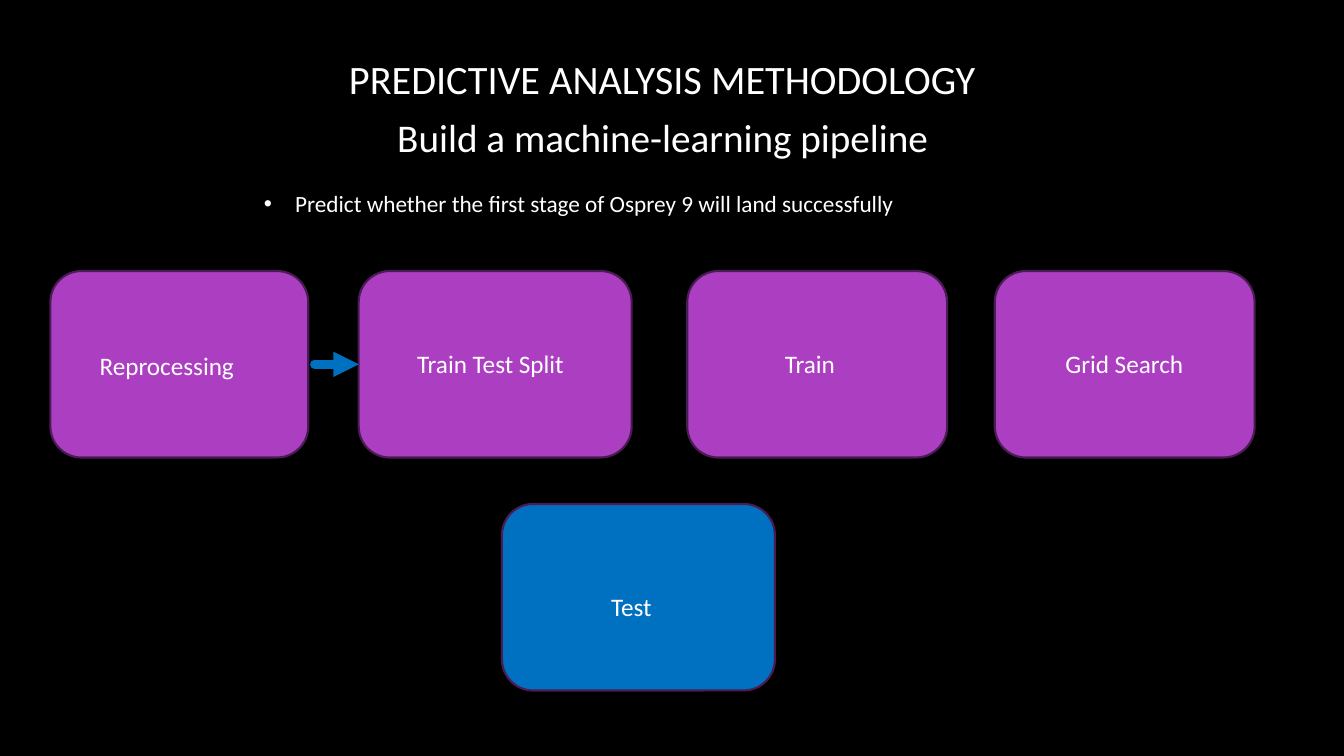
from dataclasses import dataclass

import pptx
import pptx.dml.color
import pptx.enum.shapes
import pptx.enum.text
import pptx.oxml
import pptx.oxml.ns
import pptx.util
from pptx.util import Cm

ALIGN = pptx.enum.text.PP_ALIGN
ANCHOR = pptx.enum.text.MSO_ANCHOR
AUTO_SIZE = pptx.enum.text.MSO_AUTO_SIZE

BLACK = "000000"
WHITE = "FFFFFF"
PURPLE = "AC3EC1"
DARK_PURPLE = "4B1B55"
BLUE = "0070C0"

STAGE_HEIGHT = 4.7
ROW_TOP = 6.83


@dataclass(frozen=True)
class Caption:
    text: str
    left: float
    top: float
    width: float
    height: float
    size: float = 18
    align: ALIGN = ALIGN.LEFT
    anchor: ANCHOR = ANCHOR.TOP
    space_after: float = 0
    bullet: bool = False
    grows: bool = False


@dataclass(frozen=True)
class Stage:
    left: float
    width: float
    caption: Caption
    top: float = ROW_TOP
    fill: str = PURPLE


HEADINGS = [
    Caption("PREDICTIVE ANALYSIS METHODOLOGY", 5.72, 1.14, 21.95, 1.57, 28.8,
            ALIGN.CENTER, ANCHOR.BOTTOM),
    Caption("Predict whether the first stage of Osprey 9 will land successfully",
            6.4, 4.65, 17.12, 1.45, 16.6, space_after=10, bullet=True),
    Caption("Build a machine-learning pipeline", 8.23, 2.72, 16.94, 1.45, 28,
            ALIGN.CENTER, grows=True),
]

STAGES = [
    Stage(1.27, 6.5, Caption("Reprocessing", 2.26, 8.71, 4.45, 1.75, space_after=10)),
    Stage(9.04, 6.88, Caption("Train Test Split", 10.26, 8.66, 4.45, 1.75, space_after=10)),
    Stage(17.32, 6.55, Caption("Train", 19.53, 8.66, 2.13, 1.75, space_after=10)),
    Stage(25.07, 6.55, Caption("Grid Search", 26.11, 8.66, 4.45, 1.75,
                               align=ALIGN.CENTER, space_after=10)),
    Stage(12.65, 6.88, Caption("Test", 13.79, 14.78, 4.24, 1.02,
                               align=ALIGN.CENTER, grows=True), 12.7, BLUE),
]


def color(value: str) -> pptx.dml.color.RGBColor:
    return pptx.dml.color.RGBColor.from_string(value)


def append_xml(parent, tag: str, **attributes: str):
    element = pptx.oxml.parse_xml(f'<a:{tag} {pptx.oxml.ns.nsdecls("a")}/>')
    for name, value in attributes.items():
        element.set(name, value)
    parent.append(element)
    return element


def add_bullet(paragraph) -> None:
    properties = paragraph._p.get_or_add_pPr()
    properties.set("marL", str(Cm(0.79)))
    properties.set("indent", str(-Cm(0.79)))
    bullet_color = append_xml(properties, "buClr")
    append_xml(bullet_color, "srgbClr", val=WHITE)
    append_xml(properties, "buFont", typeface="Arial")
    append_xml(properties, "buChar", char="•")


def add_caption(slide, caption: Caption) -> None:
    box = slide.shapes.add_textbox(Cm(caption.left), Cm(caption.top),
                                   Cm(caption.width), Cm(caption.height))
    frame = box.text_frame
    frame.word_wrap = True
    frame.vertical_anchor = caption.anchor
    frame.auto_size = AUTO_SIZE.SHAPE_TO_FIT_TEXT if caption.grows else AUTO_SIZE.NONE
    paragraph = frame.paragraphs[0]
    if caption.bullet:
        add_bullet(paragraph)
    paragraph.alignment = caption.align
    paragraph.space_after = pptx.util.Pt(caption.space_after)
    run = paragraph.add_run()
    run.text = caption.text
    run.font.name = "Calibri"
    run.font.size = pptx.util.Pt(caption.size)
    run.font.color.rgb = color(WHITE)


def add_stage(slide, stage: Stage):
    block = slide.shapes.add_shape(
        pptx.enum.shapes.MSO_SHAPE.ROUNDED_RECTANGLE,
        Cm(stage.left), Cm(stage.top), Cm(stage.width), Cm(STAGE_HEIGHT))
    block.shadow.inherit = False
    block.fill.solid()
    block.fill.fore_color.rgb = color(stage.fill)
    block.line.color.rgb = color(DARK_PURPLE)
    block.line.width = pptx.util.Pt(1.5)
    return block


def add_arrow(slide, start: float, target) -> None:
    middle = Cm(ROW_TOP + STAGE_HEIGHT / 2)
    arrow = slide.shapes.add_connector(
        pptx.enum.shapes.MSO_CONNECTOR.STRAIGHT,
        Cm(start), middle, target.left, middle)
    arrow.end_connect(target, 1)
    arrow.line.color.rgb = color(BLUE)
    arrow.line.width = pptx.util.Pt(6)
    outline = arrow.line._get_or_add_ln()
    outline.set("cap", "rnd")
    append_xml(outline, "tailEnd", type="triangle")
    append_xml(arrow._element.spPr, "effectLst")


def main() -> None:
    presentation = pptx.Presentation()
    presentation.slide_width = Cm(33.87)
    presentation.slide_height = Cm(19.05)
    slide = presentation.slides.add_slide(presentation.slide_layouts[6])
    slide.background.fill.solid()
    slide.background.fill.fore_color.rgb = color(BLACK)

    for heading in HEADINGS:
        add_caption(slide, heading)
    blocks = [add_stage(slide, stage) for stage in STAGES]
    for stage in STAGES:
        add_caption(slide, stage.caption)
    add_arrow(slide, 7.92, blocks[1])
    presentation.save("out.pptx")


if __name__ == "__main__":
    main()
